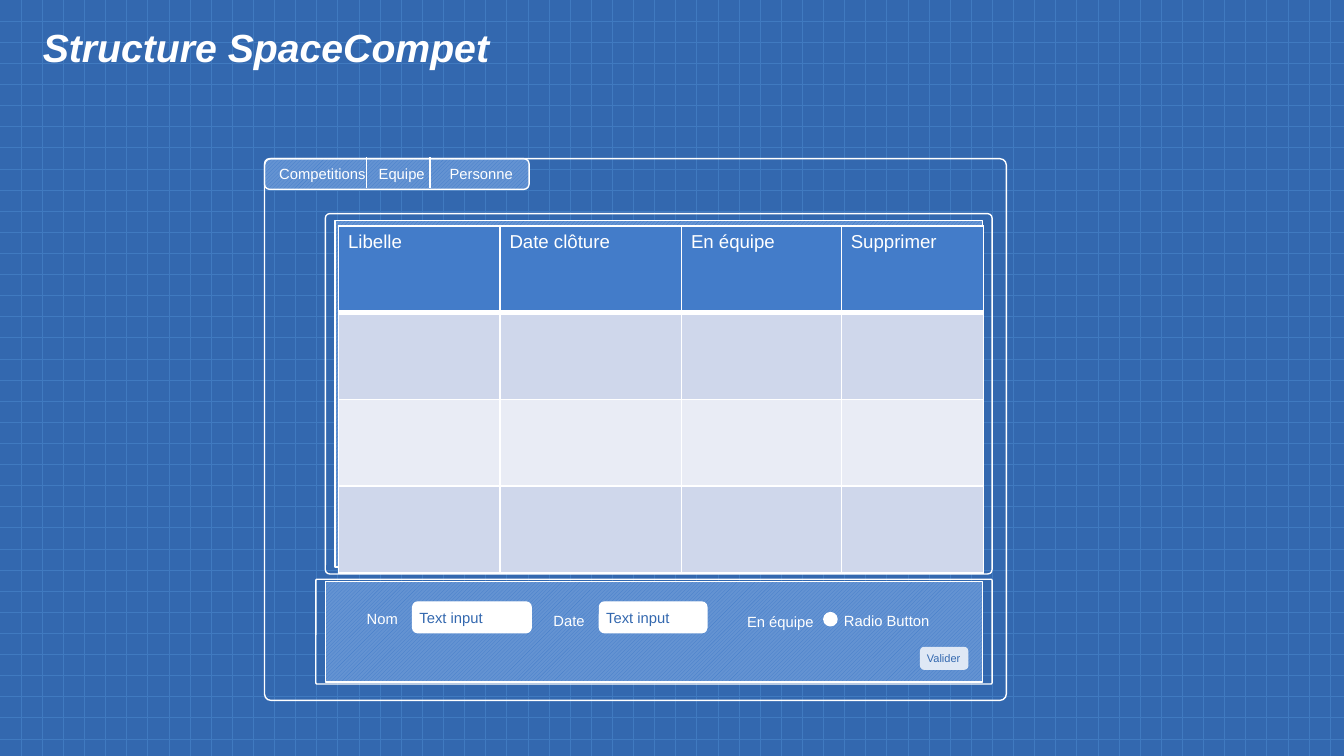
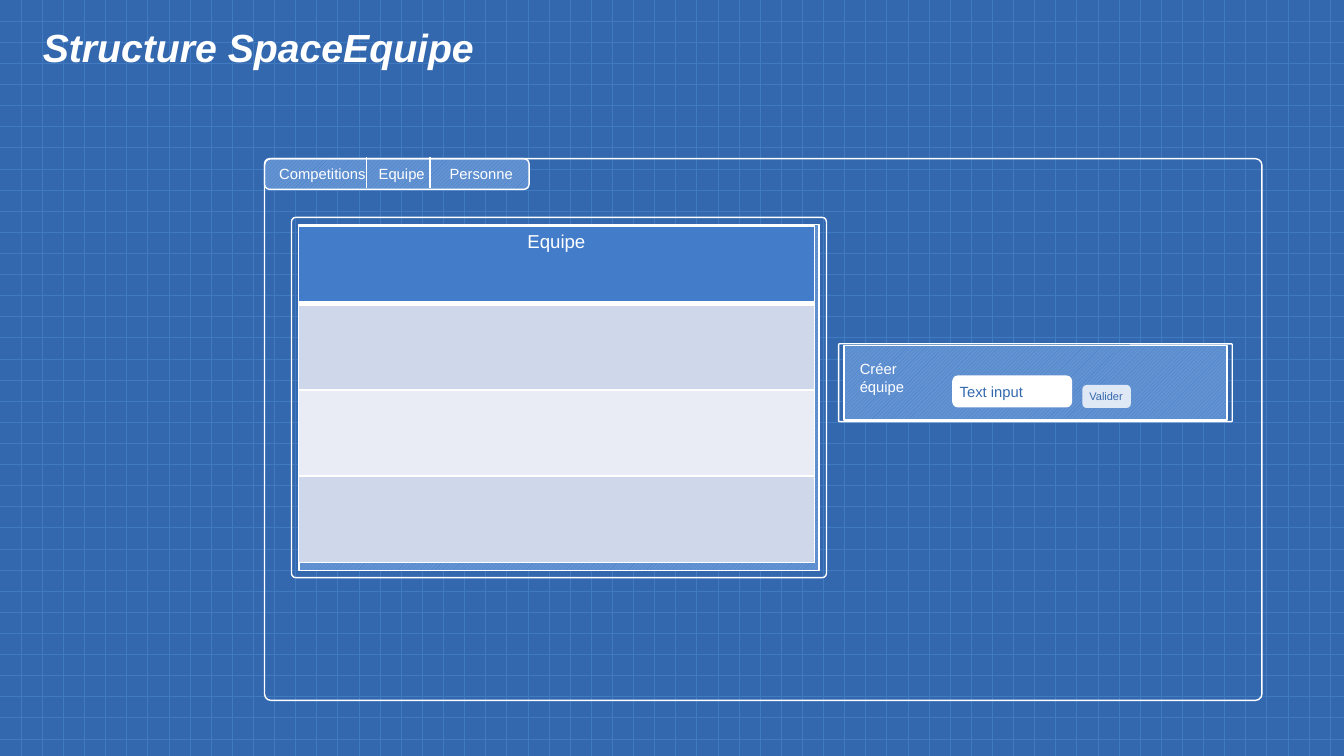
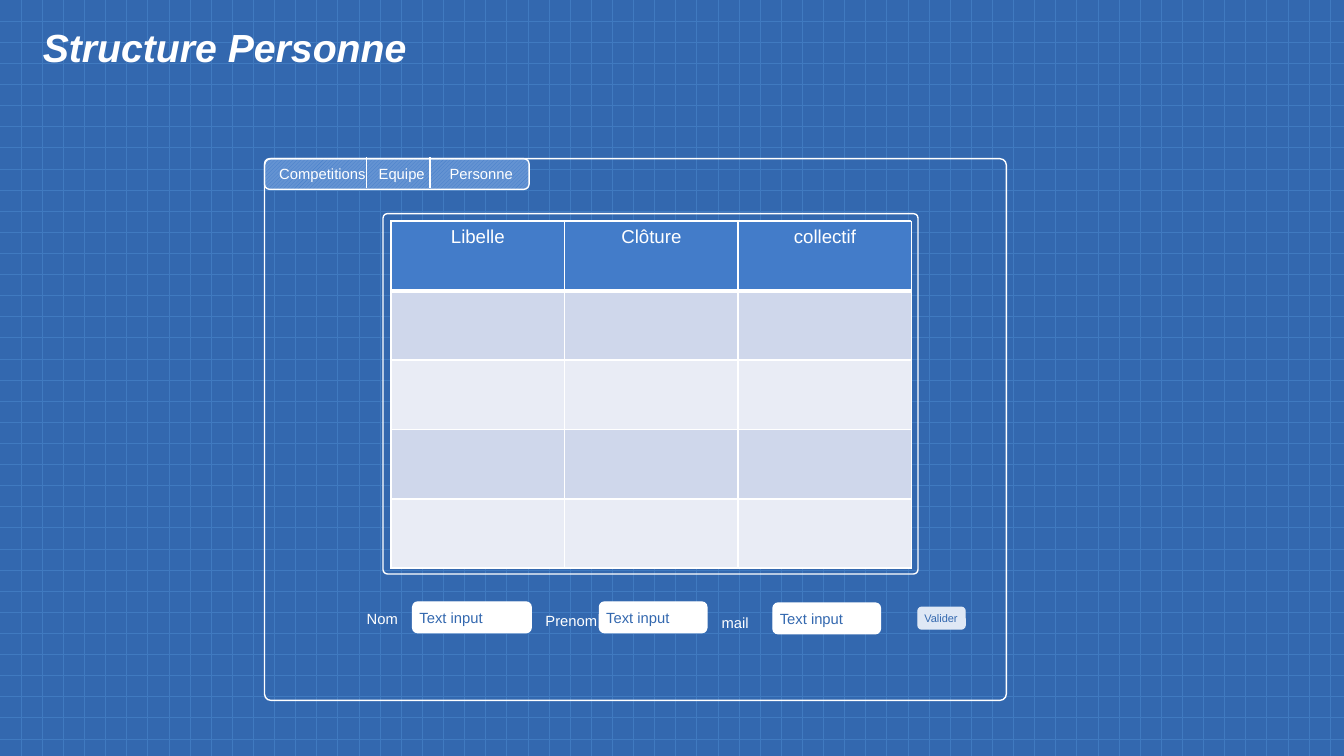
from lxml import etree
from pptx import Presentation
from pptx.dml.color import RGBColor
from pptx.enum.dml import MSO_PATTERN
from pptx.enum.shapes import MSO_CONNECTOR, MSO_SHAPE
from pptx.enum.text import MSO_ANCHOR, PP_ALIGN
from pptx.oxml.ns import qn
from pptx.util import Cm, Pt

RECT, ROUND, OVAL = MSO_SHAPE.RECTANGLE, MSO_SHAPE.ROUNDED_RECTANGLE, MSO_SHAPE.OVAL
LINE = MSO_CONNECTOR.STRAIGHT
LEFT, CENTER = PP_ALIGN.LEFT, PP_ALIGN.CENTER
TOP, MIDDLE = MSO_ANCHOR.TOP, MSO_ANCHOR.MIDDLE
GRID, HATCH = MSO_PATTERN.DOTTED_GRID, MSO_PATTERN.LIGHT_UPWARD_DIAGONAL

WHITE = RGBColor(0xFF, 0xFF, 0xFF)
BLUE = RGBColor(0x33, 0x68, 0xAF)
MESH = RGBColor(0x40, 0x7A, 0xC0)
HEAD = RGBColor(0x43, 0x7C, 0xC9)
SOFT = RGBColor(0x64, 0x93, 0xD2)
PALE = RGBColor(0xDF, 0xE8, 0xF5)
BANDS = (RGBColor(0xCF, 0xD7, 0xEB), RGBColor(0xE9, 0xEC, 0xF5))

FONT = "Arial"
STRIPES = (HATCH, HEAD, SOFT)
TITLE = {"size": Pt(21), "bold": True, "italic": True}
BODY = {"size": Pt(7.9)}
SMALL = {"size": Pt(5.9)}
CELL = {"size": Pt(10)}
PAD = (0.25, 0.13)
TIGHT = (0.1, 0.1)
FLAT = (0.1, 0.05)

# Lengths below are in centimetres
TABS = ("Competitions", "Equipe", "Personne")
STOPS = (1.88, 3.22)
RULES = (6.93, 8.13)
FRAME = (5, 3)
FRAME_H = 10.24
PANEL_H = 6.81
FIELD_H = 0.58

# A panel is its outer box, then the inset of its hatched part
SLIDES = [
    {
        "title": "Structure SpaceCompet",
        "width": 14.02,
        "panels": [((6.15, 4.04, 12.6, PANEL_H), 0.18, 0.13),
                   ((5.97, 10.95, 12.78, 1.98), 0.18, 0.04)],
        "table": {"at": (6.4, 4.27), "cols": (3.05, 3.43, 3.02, 2.69),
                  "rows": (1.64,) * 4, "align": LEFT,
                  "heads": ("Libelle", "Date clôture", "En équipe", "Supprimer")},
        "labels": [("Nom", 6.68, 11.4, 1.55), ("Date", 10.21, 11.43, 1.55),
                   ("En équipe", 13.87, 11.46, 2.01)],
        "inputs": [(7.8, 11.38, 2.24), (11.33, 11.38, 2.03)],
        "radios": [("Radio Button", 15.57, 11.58)],
        "button": (17.4, 12.24),
    },
    {
        "title": "Structure SpaceEquipe",
        "width": 18.85,
        "panels": [((5.51, 4.11, 10.11, PANEL_H), 0.14, 0.13),
                   ((15.85, 6.5, 7.44, 1.47), 0.1, 0.03)],
        "table": {"at": (5.64, 4.27), "cols": (9.75,),
                  "rows": (1.47,) + (1.63,) * 3, "align": CENTER,
                  "heads": ("Equipe",)},
        "labels": [("Créer équipe", 16, 6.68, 2.01)],
        "inputs": [(18.01, 7.11, 2.24)],
        "radios": [],
        "button": (20.47, 7.29),
    },
    {
        "title": "Structure Personne",
        "width": 14.02,
        "panels": [((7.24, 4.04, 10.11, PANEL_H), 0.14, 0.13)],
        "table": {"at": (7.39, 4.19), "cols": (3.28,) * 3,
                  "rows": (1.31,) * 5, "align": CENTER,
                  "heads": ("Libelle", "Clôture", "collectif")},
        "labels": [("Nom", 6.68, 11.4, 1.55), ("Prenom", 10.06, 11.43, 1.55),
                   ("mail", 13.39, 11.48, 1.55)],
        "inputs": [(7.8, 11.38, 2.24), (11.33, 11.38, 2.03), (14.61, 11.4, 2.03)],
        "radios": [],
        "button": (17.35, 11.48),
    },
]


def cms(values):
    return [Cm(v) for v in values]


def hatch(fill, style):
    fill.patterned()
    fill.pattern, fill.fore_color.rgb, fill.back_color.rgb = style


def write(frame, text, form, color=WHITE, align=LEFT):
    para = frame.paragraphs[0]
    para.alignment = align
    run = para.add_run()
    run.text = text
    for key, value in {"name": FONT, **form}.items():
        setattr(run.font, key, value)
    run.font.color.rgb = color
    return para


def fit(frame, pad, anchor=TOP, wrap=True):
    side, edge = cms(pad)
    form = {"margin_left": side, "margin_right": side, "margin_top": edge,
            "margin_bottom": edge, "vertical_anchor": anchor, "word_wrap": wrap}
    for key, value in form.items():
        setattr(frame, key, value)


def label(slide, text, box, form=BODY, pad=PAD):
    frame = slide.shapes.add_textbox(*cms(box)).text_frame
    fit(frame, pad)
    return write(frame, text, form)


def block(slide, kind, box, fill=None, edge=WHITE, round_by=None):
    """Add a shape filled with a colour, a pattern tuple or nothing."""
    shape = slide.shapes.add_shape(kind, *cms(box))
    shape.shadow.inherit = False
    shape.line.color.rgb = edge
    shape.line.width = Pt(0.75)
    if fill is None:
        shape.fill.background()
    elif fill is STRIPES:
        hatch(shape.fill, fill)
    else:
        shape.fill.solid()
        shape.fill.fore_color.rgb = fill
    if round_by is not None:
        shape.adjustments[0] = round_by
    return shape


def outline(slide, box):
    # The same corner radius ratio serves all the wide frames
    block(slide, ROUND, box, round_by=0.012)


def panel(slide, box, dx, dy):
    x, y, w, h = box
    outline(slide, box)
    block(slide, RECT, (x + dx, y + dy, w - 2 * dx, h - 2 * dy), STRIPES)


def menu(slide):
    bar = block(slide, ROUND, (*FRAME, 5, FIELD_H), STRIPES)
    fit(bar.text_frame, (0.25, 0.1), MIDDLE)
    para = write(bar.text_frame, "\t".join(TABS), BODY)
    stops = etree.SubElement(para._p.get_or_add_pPr(), qn("a:tabLst"))
    for pos in STOPS:
        etree.SubElement(stops, qn("a:tab"), pos=str(Cm(pos)), algn="l")
    for x in RULES:
        rule = slide.shapes.add_connector(LINE, *cms((x, 2.97, x, 3.56)))
        rule.line.color.rgb = WHITE
        rule.line.width = Pt(0.75)
        etree.SubElement(rule._element.spPr, qn("a:effectLst"))


def border(cell, base):
    props = cell._tc.get_or_add_tcPr()
    for side, width in (("L", 1), ("R", 1), ("T", 1), ("B", base)):
        line = etree.SubElement(props, qn("a:ln" + side), w=str(Pt(width)))
        fill = etree.SubElement(line, qn("a:solidFill"))
        etree.SubElement(fill, qn("a:srgbClr"), val=str(WHITE))


def grid(slide, at, cols, rows, heads, align):
    box = cms((*at, sum(cols), sum(rows)))
    table = slide.shapes.add_table(len(rows), len(cols), *box).table
    for col, width in zip(table.columns, cols):
        col.width = Cm(width)
    for r, height in enumerate(rows):
        table.rows[r].height = Cm(height)
        for c, head in enumerate(heads):
            cell = table.cell(r, c)
            border(cell, 1 if r else 3)
            cell.fill.solid()
            cell.fill.fore_color.rgb = BANDS[(r - 1) % 2] if r else HEAD
            cell.margin_left = cell.margin_right = Cm(0.18)
            cell.margin_top = cell.margin_bottom = Cm(0.1)
            if r == 0:
                write(cell.text_frame, head, CELL, align=align)


def entry(slide, x, y, w):
    field = block(slide, ROUND, (x, y, w, FIELD_H), WHITE)
    fit(field.text_frame, TIGHT, MIDDLE)
    write(field.text_frame, "Text input", BODY, BLUE)


def radio(slide, text, x, y):
    block(slide, OVAL, (x, y, 0.25, 0.25), WHITE)
    label(slide, text, (x + 0.28, y - 0.12, 1.83, 0.53), pad=TIGHT)


def button(slide, x, y):
    shape = block(slide, ROUND, (x, y, 0.89, 0.41), PALE, PALE)
    fit(shape.text_frame, FLAT, MIDDLE, wrap=False)
    write(shape.text_frame, "Valider", SMALL, BLUE)


def build(deck, page):
    slide = deck.slides.add_slide(deck.slide_layouts[6])
    hatch(slide.background.fill, (GRID, MESH, BLUE))
    title = label(slide, page["title"], (0.56, 0.41, 24.28, 1.07), TITLE)
    title.line_spacing = 0.9
    for part in page["panels"]:
        panel(slide, *part)
    menu(slide)
    outline(slide, (*FRAME, page["width"], FRAME_H))
    grid(slide, **page["table"])
    for spot in page["inputs"]:
        entry(slide, *spot)
    for text, *spot in page["labels"]:
        label(slide, text, (*spot, FIELD_H))
    for item in page["radios"]:
        radio(slide, *item)
    button(slide, *page["button"])


def main():
    deck = Presentation()
    deck.slide_width, deck.slide_height = Cm(25.4), Cm(14.29)
    for page in SLIDES:
        build(deck, page)
    deck.save("out.pptx")


if __name__ == "__main__":
    main()
